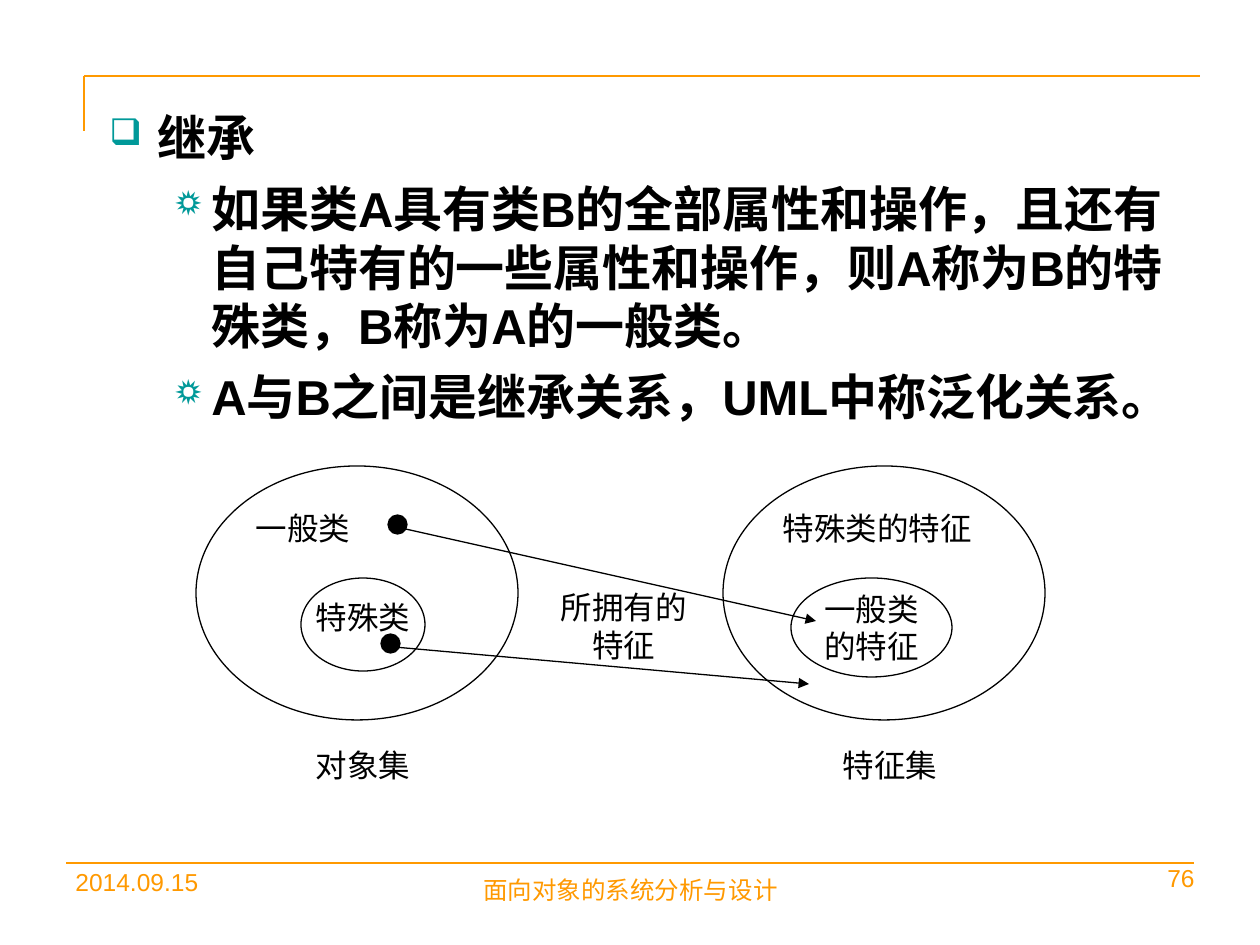
from lxml.etree import SubElement
from pptx import Presentation
from pptx.dml.color import RGBColor
from pptx.enum.shapes import MSO_CONNECTOR as Connector, MSO_SHAPE as Shape
from pptx.enum.text import MSO_ANCHOR as Anchor, PP_ALIGN as Align
from pptx.oxml.ns import qn
from pptx.util import Emu, Pt

BLACK = RGBColor(0x00, 0x00, 0x00)
ORANGE = RGBColor(0xFF, 0x99, 0x00)
TEAL = RGBColor(0x00, 0x99, 0x99)
FONT = "Arial"
EMU_PER_PX = 914400 / 126


def px(length):
    return Emu(round(length * EMU_PER_PX))


def add_run(paragraph, text, size, color=BLACK, bold=False):
    run = paragraph.add_run()
    run.text = text
    run.font.name = FONT
    run.font.size = Pt(size)
    run.font.bold = bold
    run.font.color.rgb = color


def fill_text(shape, lines, size, color=BLACK, align=Align.CENTER, wrap=True, anchor=Anchor.TOP):
    frame = shape.text_frame
    frame.word_wrap = wrap
    frame.vertical_anchor = anchor
    for index, line in enumerate(lines):
        paragraph = frame.add_paragraph() if index else frame.paragraphs[0]
        paragraph.alignment = align
        add_run(paragraph, line, size, color)


def add_label(slide, box, text, size=18, color=BLACK, align=Align.CENTER):
    fill_text(slide.shapes.add_textbox(*map(px, box)), [text], size, color, align)


def add_line(slide, start, end, color=BLACK, arrow=False):
    line = slide.shapes.add_connector(Connector.STRAIGHT, *map(px, start + end))
    line.line.color.rgb = color
    line.line.width = Pt(0.75)
    properties = line._element.spPr
    if arrow:
        SubElement(properties.find(qn("a:ln")), qn("a:tailEnd"), type="triangle")
    SubElement(properties, qn("a:effectLst"))


def add_ellipse(slide, box, filled=False):
    ellipse = slide.shapes.add_shape(Shape.OVAL, *map(px, box))
    ellipse.shadow.inherit = False
    if filled:
        ellipse.fill.solid()
        ellipse.fill.fore_color.rgb = BLACK
    else:
        ellipse.fill.background()
    ellipse.line.color.rgb = BLACK
    ellipse.line.width = Pt(0.75)
    return ellipse


def add_frame(slide, left, top, width, height):
    """Corner rule at the top left and the rule above the footer."""
    add_line(slide, (left + width, top), (left, top), ORANGE)
    add_line(slide, (left, top + 55), (left, top), ORANGE)
    add_line(slide, (left + width - 6, top + height), (left - 18, top + height), ORANGE)


def add_footer(slide, left, top):
    add_label(slide, (left, top + 4, 294, 65), "2014.09.15", 14, ORANGE, Align.LEFT)
    add_label(slide, (left + 368, top + 12, 399, 57), "面向对象的系统分析与设计", 14, ORANGE)
    add_label(slide, (left + 1038, top, 106, 43), "76", 14, ORANGE, Align.RIGHT)


def add_bullet(paragraph, level, char, margin, hanging):
    paragraph.level = level
    properties = paragraph._p.get_or_add_pPr()
    properties.set("marL", str(px(margin)))
    properties.set("indent", str(-px(hanging)))
    color = SubElement(properties, qn("a:buClr"))
    SubElement(color, qn("a:srgbClr"), val=str(TEAL))
    SubElement(properties, qn("a:buSzPct"), val="75000")
    SubElement(properties, qn("a:buChar"), char=char)


def add_body(slide, box):
    heading = (0, "❑", 48, 48)
    detail = (1, "☼", 102, 39)
    items = [
        (heading, "继承"),
        (detail, "如果类A具有类B的全部属性和操作，且还有自己特有的一些属性和操作，"
                 "则A称为B的特殊类，B称为A的一般类。"),
        (detail, "A与B之间是继承关系，UML中称泛化关系。"),
    ]
    frame = slide.shapes.add_textbox(*map(px, box)).text_frame
    frame.word_wrap = True
    for index, (bullet, text) in enumerate(items):
        paragraph = frame.add_paragraph() if index else frame.paragraphs[0]
        add_bullet(paragraph, *bullet)
        if index:
            paragraph.space_before = Pt(7)
        add_run(paragraph, text, 28, bold=True)


def add_set(slide, left, top, outer_text, inner_box, inner_lines, inner_anchor, caption):
    """A large ellipse holding a small one, with the name of the set below."""
    x, y, width, height = inner_box
    inner = add_ellipse(slide, (left + x, top + y, width, height))
    fill_text(inner, inner_lines, 18, wrap=False, anchor=inner_anchor)
    outer = add_ellipse(slide, (left, top, 322, 254))
    fill_text(outer, [outer_text], 18, align=Align.LEFT, wrap=False)
    add_label(slide, (left + 80, top + 274, 174, 50), caption)


def add_mapping(slide, left, top):
    """Object set, feature set and the arrows from one to the other."""
    add_set(slide, left, top, "一般类", (105, 112, 124, 93),
            ["特殊类"], Anchor.TOP, "对象集")
    add_set(slide, left + 527, top, "特殊类的特征", (68, 112, 161, 99),
            ["一般类", "的特征"], Anchor.MIDDLE, "特征集")
    for x, y, rise in ((192, 49, 93), (185, 168, 37)):
        add_ellipse(slide, (left + x, top + y, 19, 19), filled=True)
        start = (left + x + 13, top + y + 13)
        add_line(slide, start, (start[0] + 415, start[1] + rise), arrow=True)
    add_label(slide, (left + 341, top + 116, 174, 88), "所拥有的特征")


def main():
    presentation = Presentation()
    presentation.slide_width = px(1260)
    presentation.slide_height = px(945)
    slide = presentation.slides.add_slide(presentation.slide_layouts[6])
    add_frame(slide, 84, 76, 1116, 787)
    add_footer(slide, 63, 857)
    add_body(slide, (97, 101, 1100, 743))
    add_mapping(slide, 196, 466)
    presentation.save("out.pptx")


if __name__ == "__main__":
    main()
